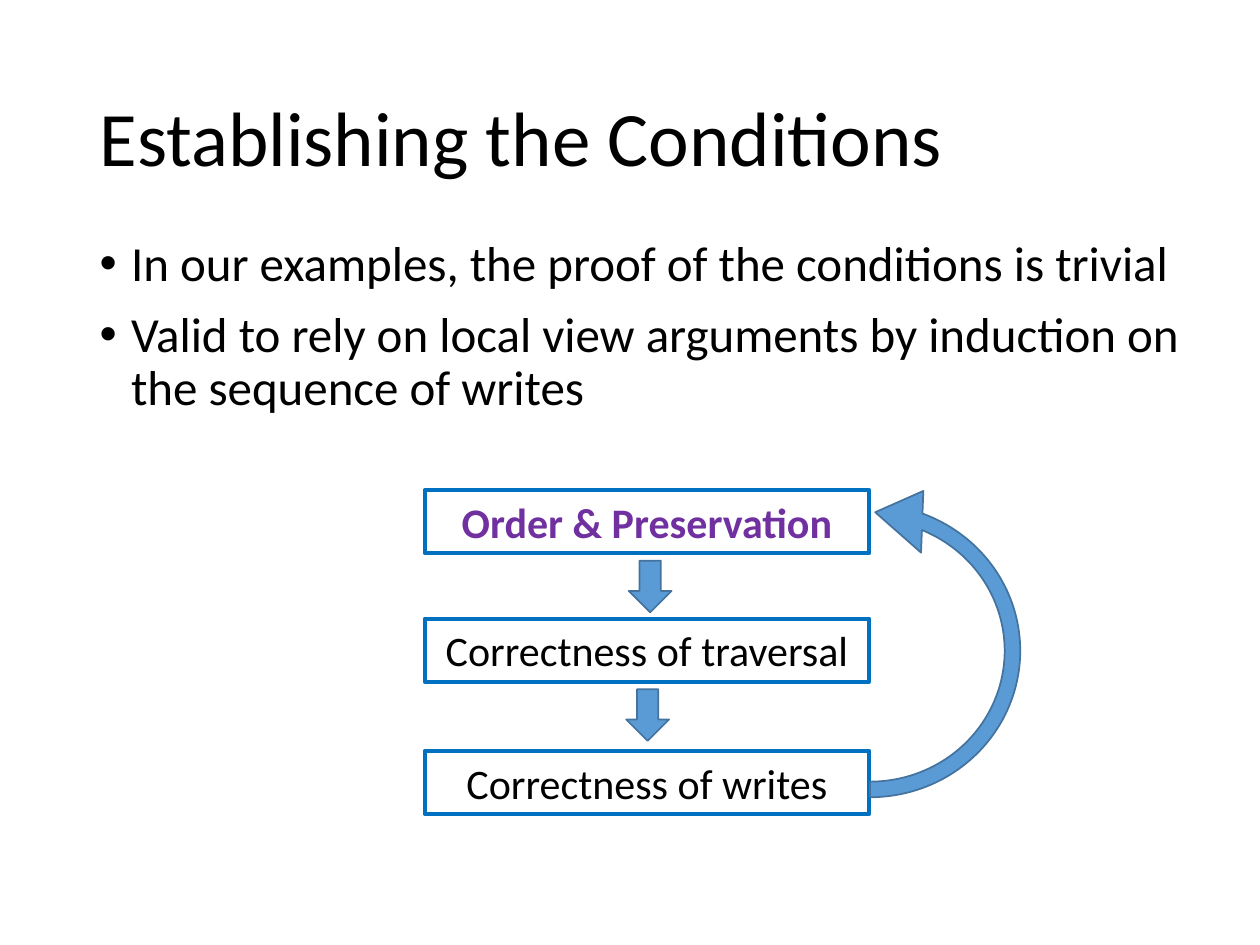
from pptx import Presentation
from pptx.dml.color import RGBColor
from pptx.enum import shapes, text
from pptx.util import Inches, Pt

HEX = {"ink": "000000", "accent": "7030A0", "frame": "0070C0",
       "arrow": "5B9BD5", "edge": "43739E"}
TITLE = "Establishing the Conditions"
POINTS = [
    "In our examples, the proof of the conditions is trivial",
    "Valid to rely on local view arguments by induction on the sequence of writes",
]
# label, top, colour, bold
STEPS = [
    ("Order & Preservation", 3.89, "accent", True),
    ("Correctness of traversal", 4.91, "ink", False),
    ("Correctness of writes", 5.96, "ink", False),
]
STEP_X, STEP_W, STEP_H = 3.37, 3.53, 0.5
DOWN_X, DOWN_GAP = (4.99, 4.97), 0.06
LOOP = (5.56, 3.79, 2.69, 2.75)
BEND = (0.046, 11.924, 202.799, 108, 0.091)
KIND = shapes.MSO_SHAPE


def color(name):
    return RGBColor.from_string(HEX[name])


def place(shape, *box):
    for name, size in zip(("left", "top", "width", "height"), box):
        setattr(shape, name, Inches(size))


def style(para, size, tint="ink", bold=False, **form):
    font = {"name": "Calibri", "size": Pt(size), "bold": bold}
    for name, value in font.items():
        setattr(para.font, name, value)
    para.font.color.rgb = color(tint)
    for name, value in form.items():
        setattr(para, name, value)


def draw(kind, box, line, width, fill=None):
    shape = slide.shapes.add_shape(kind, *map(Inches, box))
    shape.shadow.inherit = False
    shape.line.color.rgb = color(line)
    shape.line.width = Pt(width)
    if fill:
        shape.fill.solid()
        shape.fill.fore_color.rgb = color(fill)
    else:
        shape.fill.background()
    return shape


deck = Presentation()
deck.slide_width, deck.slide_height = Inches(10), Inches(7.5)
slide = deck.slides.add_slide(deck.slide_layouts[1])

title = slide.shapes.title
place(title, 0.69, 0.4, 8.62, 1.45)
title.text = TITLE
title.text_frame.auto_size = text.MSO_AUTO_SIZE.NONE
title.text_frame.vertical_anchor = text.MSO_ANCHOR.MIDDLE
style(title.text_frame.paragraphs[0], 44, line_spacing=0.9,
      alignment=text.PP_ALIGN.LEFT)

body = slide.placeholders[1]
place(body, 0.69, 1.85, 8.9, 3.9)
body.text = "\n".join(POINTS)
body.text_frame.auto_size = text.MSO_AUTO_SIZE.NONE
for i, para in enumerate(body.text_frame.paragraphs):
    props = para._p.get_or_add_pPr()
    props.set("marL", str(Inches(0.25)))
    props.set("indent", str(-Inches(0.25)))
    style(para, 28, line_spacing=0.9, space_before=Pt(10 if i else 0))

for label, top, tint, bold in STEPS:
    box = draw(KIND.RECTANGLE, (STEP_X, top, STEP_W, STEP_H), "frame", 2.25)
    frame = box.text_frame
    frame.text = label
    frame.word_wrap = True
    frame.auto_size = text.MSO_AUTO_SIZE.SHAPE_TO_FIT_TEXT
    frame.vertical_anchor = text.MSO_ANCHOR.TOP
    style(frame.paragraphs[0], 24, tint, bold, alignment=text.PP_ALIGN.CENTER)

for left, step in zip(DOWN_X, STEPS):
    top = step[1] + STEP_H + DOWN_GAP
    draw(KIND.DOWN_ARROW, (left, top, 0.34, 0.41), "edge", 1, "arrow")

loop = draw(KIND.CIRCULAR_ARROW, LOOP, "edge", 1, "arrow")
loop.rotation = 270
loop._element.spPr.xfrm.set("flipV", "1")
for i, value in enumerate(BEND):
    loop.adjustments[i] = value

deck.save("out.pptx")
